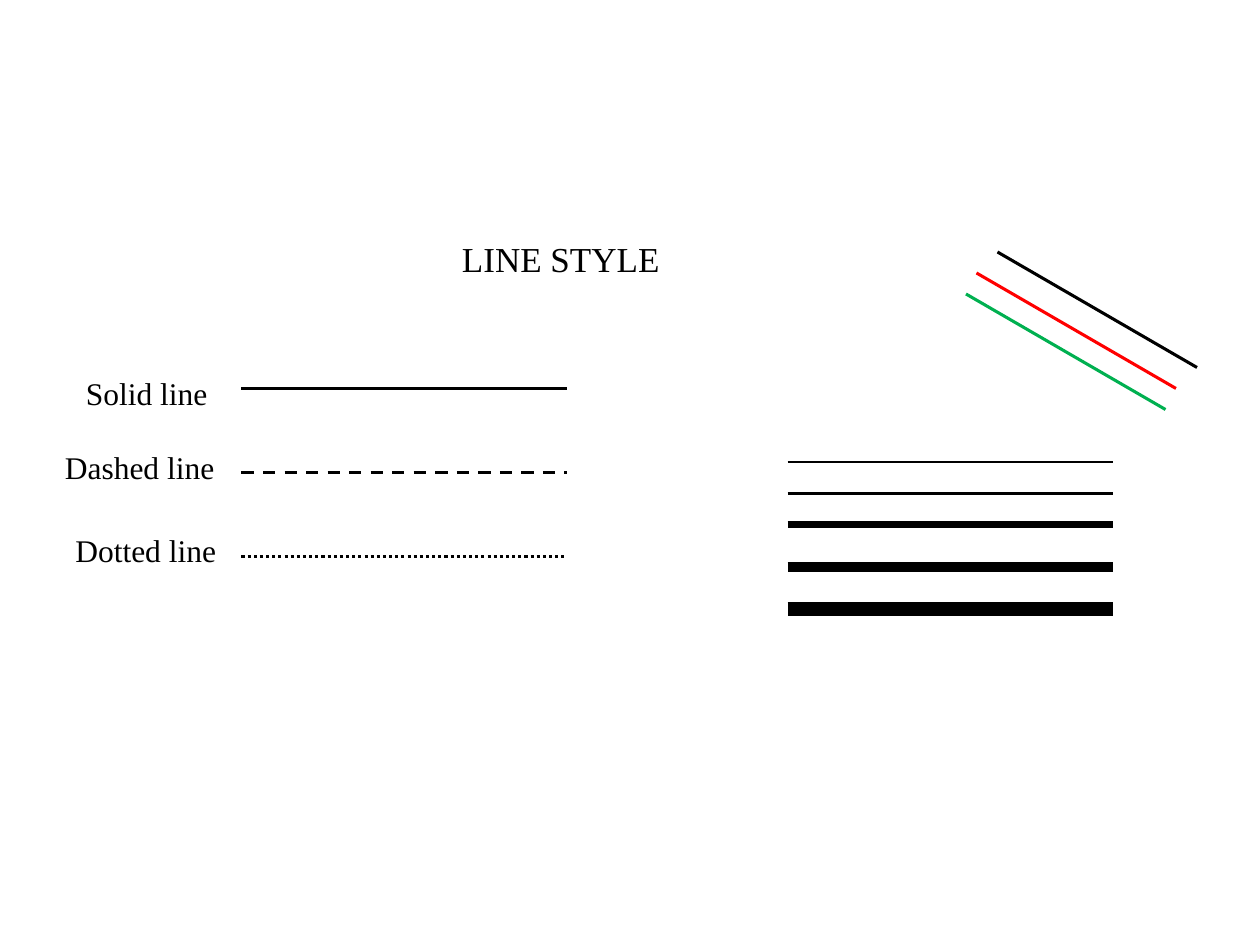
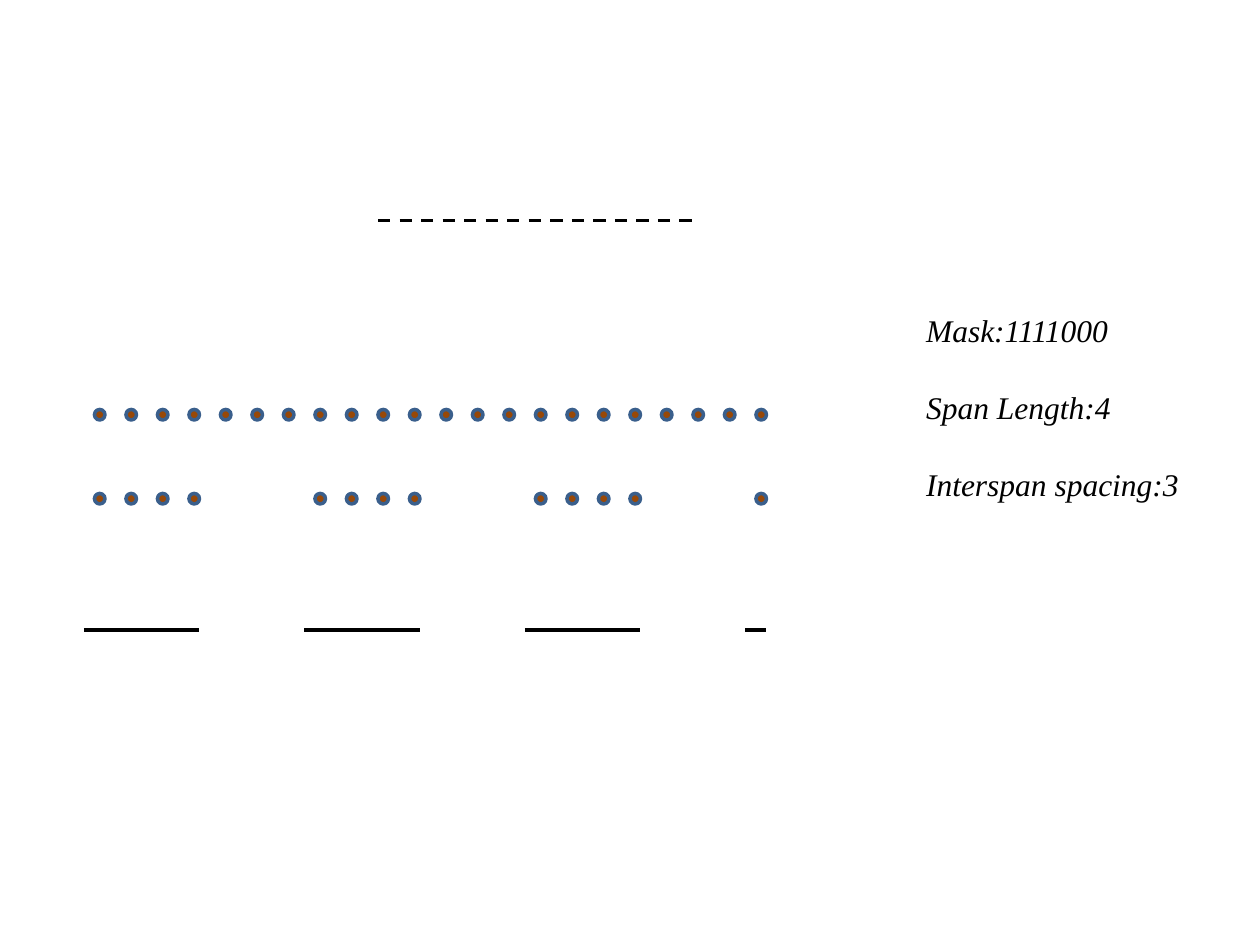
from itertools import groupby
from pptx import Presentation
from pptx.dml.color import RGBColor
from pptx.enum.dml import MSO_LINE
from pptx.enum.shapes import MSO_CONNECTOR, MSO_SHAPE
from pptx.enum.text import MSO_ANCHOR, MSO_AUTO_SIZE, PP_ALIGN
from pptx.oxml.ns import qn
from pptx.util import Pt

BLACK = RGBColor(0x00, 0x00, 0x00)
RED = RGBColor(0xFF, 0x00, 0x00)
GREEN = RGBColor(0x00, 0xB0, 0x50)
BROWN = RGBColor(0x98, 0x48, 0x07)
BLUE = RGBColor(0x3A, 0x5F, 0x8C)
FONT = "Times New Roman"
THIN = 1.75

# Content of the line style slide
TITLE = "LINE STYLE"
STYLES = [  # label, label left, label top, dash
    ("Solid line", 42, 210, MSO_LINE.SOLID),
    ("Dashed line", 30, 252.6, MSO_LINE.DASH),
    ("Dotted line", 36, 300, MSO_LINE.ROUND_DOT),
]
COLORS = [(570, 144, BLACK), (558, 156, RED), (552, 168, GREEN)]
WIDTHS = [(264, 0.75), (282, THIN), (300, 4), (324, 6), (348, 7.5)]

# Content of the mask slide
MASK = "1111000"
FACTS = [f"Mask:{MASK}", "Span Length:4", "Interspan spacing:3"]
COUNT, LEFT, STEP, DOT = 22, 54, 18, 6


def write(shape, box, lines, size=18, italic=False, gap=0):
    shape.left, shape.top, shape.width, shape.height = map(Pt, box)
    frame = shape.text_frame
    frame.text = "\n".join(lines)
    frame.word_wrap = True
    frame.auto_size = MSO_AUTO_SIZE.NONE
    frame.vertical_anchor = MSO_ANCHOR.TOP
    for para in frame.paragraphs:
        para.alignment = PP_ALIGN.LEFT
        para.space_before, para.space_after = Pt(0), Pt(gap)
        font = para.font
        font.name, font.size, font.italic = FONT, Pt(size), italic
        font.color.rgb = BLACK
    return frame


def draw(shapes, x1, y1, x2, y2, color=BLACK, width=THIN, dash=None):
    line = shapes.add_connector(
        MSO_CONNECTOR.STRAIGHT, Pt(x1), Pt(y1), Pt(x2), Pt(y2))
    line.line.color.rgb = color
    line.line.width = Pt(width)
    if dash:
        line.line.dash_style = dash
    props = line._element.spPr
    props.append(props.makeelement(qn("a:effectLst"), {}))


def dot(shapes, i, top):
    mark = shapes.add_shape(
        MSO_SHAPE.OVAL, Pt(LEFT + i * STEP), Pt(top), Pt(DOT), Pt(DOT))
    mark.shadow.inherit = False
    mark.fill.solid()
    mark.fill.fore_color.rgb = BROWN
    mark.line.color.rgb = BLUE
    mark.line.width = Pt(2)


def style_slide(deck):
    slide = deck.slides.add_slide(deck.slide_layouts[5])
    shapes = slide.shapes
    frame = write(shapes.title, (162, 132, 288, 31.5), [TITLE], size=20)
    frame.margin_left = Pt(102)

    # Labelled dash styles
    for i, (label, x, y, dash) in enumerate(STYLES):
        write(shapes.add_textbox(0, 0, 0, 0), (x, y, 102, 29), [label])
        row = 222 + 48 * i
        draw(shapes, 138, row, 324, row, dash=dash)

    # Line colours and widths
    for x, y, color in COLORS:
        draw(shapes, x, y, x + 114, y + 66, color)
    for y, width in WIDTHS:
        draw(shapes, 450, y, 636, y, width=width)


def mask_slide(deck):
    slide = deck.slides.add_slide(deck.slide_layouts[1])
    shapes = slide.shapes
    title = shapes.title._element
    title.getparent().remove(title)
    draw(shapes, 216, 126, 396, 126, dash=MSO_LINE.DASH)

    # Facts about the mask, without bullets
    frame = write(slide.placeholders[1], (522, 174, 174, 116.6), FACTS,
                  italic=True, gap=22.4)
    for para in frame.paragraphs:
        props = para._p.get_or_add_pPr()
        props.set("marL", "0")
        props.set("indent", "0")
        props.append(props.makeelement(qn("a:buNone"), {}))

    # All pixels, then those the mask keeps
    kept = [i for i in range(COUNT) if MASK[i % len(MASK)] == "1"]
    for top, row in ((234, range(COUNT)), (282, kept)):
        group = shapes.add_group_shape().shapes
        for i in row:
            dot(group, i, top)

    # One dash for each span of kept pixels
    group = shapes.add_group_shape().shapes
    for _, run in groupby(kept, key=lambda i: i // len(MASK)):
        span = list(run)
        draw(group, LEFT + span[0] * STEP - DOT, 360,
             LEFT + span[-1] * STEP + DOT, 360, width=2.25)


def main():
    deck = Presentation()
    deck.slide_width, deck.slide_height = Pt(720), Pt(540)
    style_slide(deck)
    mask_slide(deck)
    deck.save("out.pptx")


if __name__ == "__main__":
    main()
